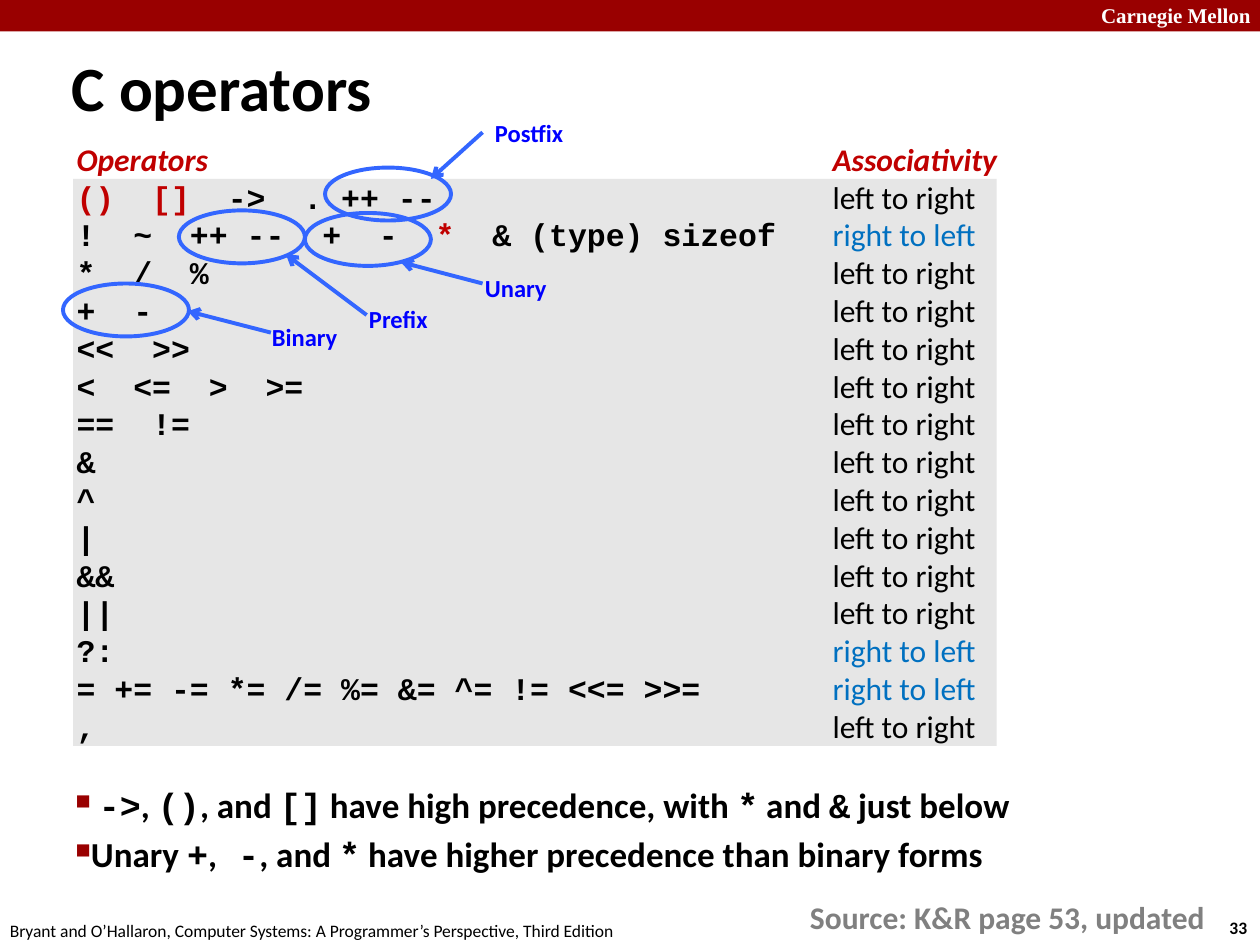
"""Build the slide on C operator precedence and associativity."""
import lxml.etree
import pptx
import pptx.dml.color
import pptx.enum.shapes
import pptx.enum.text
import pptx.oxml.ns
import pptx.util

Inches, Pt = pptx.util.Inches, pptx.util.Pt
SHAPE = pptx.enum.shapes.MSO_SHAPE
ANCHOR = pptx.enum.text.MSO_ANCHOR

COLORS = {
    "crimson": "990000", "white": "FFFFFF", "black": "000000", "panel": "E6E6E6",
    "red": "C00000", "sky": "0070C0", "grey": "808080", "line": "3366FF", "label": "0000FF",
}
BODY, CODE, SERIF = "Calibri", "Courier New", "Times New Roman"
LEFT, RIGHT = "left to right", "right to left"

HEADINGS = ("Operators", "Associativity")
OPERATORS = [
    ([("()  []  ", "red"), ("->  . ++ --", "black")], LEFT),
    ([("!  ~  ++ --  +  -  ", "black"), ("*  ", "red"), ("& (type) sizeof", "black")], RIGHT),
    ([("*  /  %", "black")], LEFT),
    ([("+  -", "black")], LEFT),
    ([("<<  >>", "black")], LEFT),
    ([("<  <=  >  >=", "black")], LEFT),
    ([("==  !=", "black")], LEFT),
    ([("&", "black")], LEFT),
    ([("^", "black")], LEFT),
    ([("|", "black")], LEFT),
    ([("&&", "black")], LEFT),
    ([("||", "black")], LEFT),
    ([("?:", "black")], RIGHT),
    ([("= += -= *= /= %= &= ^= != <<= >>=", "black")], RIGHT),
    ([(",", "black")], LEFT),
]
NOTES = [
    [(" ", BODY), ("->", CODE), (", ", BODY), ("()", CODE), (", and ", BODY), ("[]", CODE),
     (" have high precedence, with ", BODY), ("*", CODE), (" and ", BODY), ("&", CODE),
     (" just below", BODY)],
    [("Unary ", BODY), ("+", CODE), (",", BODY), (" -", CODE), (", and ", BODY), ("*", CODE),
     (" have higher precedence than binary forms", BODY)],
]
CAPTIONS = [
    ("Carnegie Mellon", (8.64, -0.03, 1.43, 0.3), 12, SERIF, "white", True),
    ("33", (9.66, 7.23, 0.37, 0.27), 10, BODY, "black", True),
    ("Bryant and O’Hallaron, Computer Systems: A Programmer’s Perspective, Third Edition",
     (-0.02, 7.25, 5.08, 0.27), 10, BODY, "black", False),
    ("C operators", (0.47, 0.37, 5.56, 0.63), 36, BODY, "black", True),
    ("Source: K&R page 53, updated", (6.33, 7.08, 3.38, 0.4), 18, BODY, "grey", True),
]
CALLOUTS = [
    ("Postfix", (3.83, 0.88, 0.76), (2.58, 1.33), (3.83, 1.05), (3.42, 1.42)),
    ("Prefix", (2.83, 2.36, 0.68), (1.42, 1.67), (2.91, 2.5), (2.27, 2.02)),
    ("Unary", (3.75, 2.11, 0.71), (2.42, 1.69), (3.83, 2.25), (3.18, 2.08)),
    ("Binary", (2.06, 2.5, 0.73), (0.5, 2.25), (2.15, 2.64), (1.49, 2.47)),
]
ROW_HEIGHT = 0.3
ASSOCIATIVITY_TAB = 6.0
OVAL_SIZE = (1, 0.42)


def rgb(name):
    return pptx.dml.color.RGBColor.from_string(COLORS[name])


def add_xml(parent, tag, **attributes):
    return lxml.etree.SubElement(parent, pptx.oxml.ns.qn(tag), attributes)


def style(font, size=None, face=None, color=None, bold=None, italic=None):
    if size:
        font.size = Pt(size)
    if face:
        font.name = face
    if color:
        font.color.rgb = rgb(color)
    font.bold, font.italic = bold, italic


def add_run(paragraph, text, **look):
    run = paragraph.add_run()
    run.text = text
    style(run.font, **look)


def add_frame(slide, box, wrap=True):
    frame = slide.shapes.add_textbox(*map(Inches, box)).text_frame
    frame.word_wrap = wrap
    return frame


def add_paragraphs(frame, count):
    return [frame.paragraphs[0]] + [frame.add_paragraph() for _ in range(count - 1)]


def add_caption(slide, text, box, size, face, color, bold):
    frame = add_frame(slide, box, wrap=False)
    frame.vertical_anchor = ANCHOR.MIDDLE
    paragraph = frame.paragraphs[0]
    paragraph.text = text
    style(paragraph.font, size, face, color, bold)


def add_panel(slide, box, color):
    panel = slide.shapes.add_shape(SHAPE.RECTANGLE, *map(Inches, box))
    panel.shadow.inherit = False
    panel.fill.solid()
    panel.fill.fore_color.rgb = rgb(color)
    panel.line.fill.background()


def add_operators(slide):
    frame = add_frame(slide, (0.51, 1.06, 7.57, 4.95))
    heading, *rows = add_paragraphs(frame, len(OPERATORS) + 1)
    for paragraph in (heading, *rows):
        tabs = add_xml(paragraph._p.get_or_add_pPr(), "a:tabLst")
        add_xml(tabs, "a:tab", pos=str(Inches(ASSOCIATIVITY_TAB)), algn="l")
        paragraph.line_spacing = Pt(ROW_HEIGHT * 72)
        paragraph.font.size = Pt(18)
    add_run(heading, "\t".join(HEADINGS))
    style(heading.font, 18, BODY, "red", True, True)
    for paragraph, (symbols, direction) in zip(rows, OPERATORS):
        for text, color in symbols:
            add_run(paragraph, text, face=CODE, color=color, bold=True)
        add_run(paragraph, "\t" + direction, face=BODY,
                color="sky" if direction == RIGHT else "black")


def add_notes(slide):
    frame = add_frame(slide, (0.5, 6.17, 7.83, 1.25))
    for number, paragraph in enumerate(add_paragraphs(frame, len(NOTES))):
        properties = paragraph._p.get_or_add_pPr()
        properties.set("marL", str(Inches(0.07)))
        properties.set("indent", str(Inches(-0.07)))
        add_xml(add_xml(properties, "a:buClr"), "a:srgbClr", val=COLORS["crimson"])
        add_xml(properties, "a:buSzPct", val="60000")
        add_xml(properties, "a:buChar", char="■")
        if number:
            paragraph.space_before = Pt(4)
        style(paragraph.font, 20, color="black", bold=True)
        for text, face in NOTES[number]:
            add_run(paragraph, text, face=face)


def add_callout(slide, name, label, oval, start, end):
    ring = slide.shapes.add_shape(SHAPE.OVAL, *map(Inches, oval + OVAL_SIZE))
    ring.shadow.inherit = False
    ring.fill.background()
    arrow = slide.shapes.add_connector(
        pptx.enum.shapes.MSO_CONNECTOR.STRAIGHT, *map(Inches, start + end))
    for outline in (ring.line, arrow.line):
        outline.color.rgb = rgb("line")
        outline.width = Pt(2.25)
    add_xml(arrow.line._get_or_add_ln(), "a:tailEnd", type="arrow")
    add_xml(arrow._element.spPr, "a:effectLst")
    add_caption(slide, name, label + (0.34,), 14, BODY, "label", True)


def main():
    deck = pptx.Presentation()
    deck.slide_width, deck.slide_height = Inches(10), Inches(7.5)
    slide = deck.slides.add_slide(deck.slide_layouts[6])
    add_panel(slide, (0, 0, 10, 0.25), "crimson")
    add_panel(slide, (0.58, 1.42, 7.33, ROW_HEIGHT * len(OPERATORS)), "panel")
    for caption in CAPTIONS:
        add_caption(slide, *caption)
    add_operators(slide)
    add_notes(slide)
    for callout in CALLOUTS:
        add_callout(slide, *callout)
    deck.save("out.pptx")


if __name__ == "__main__":
    main()
